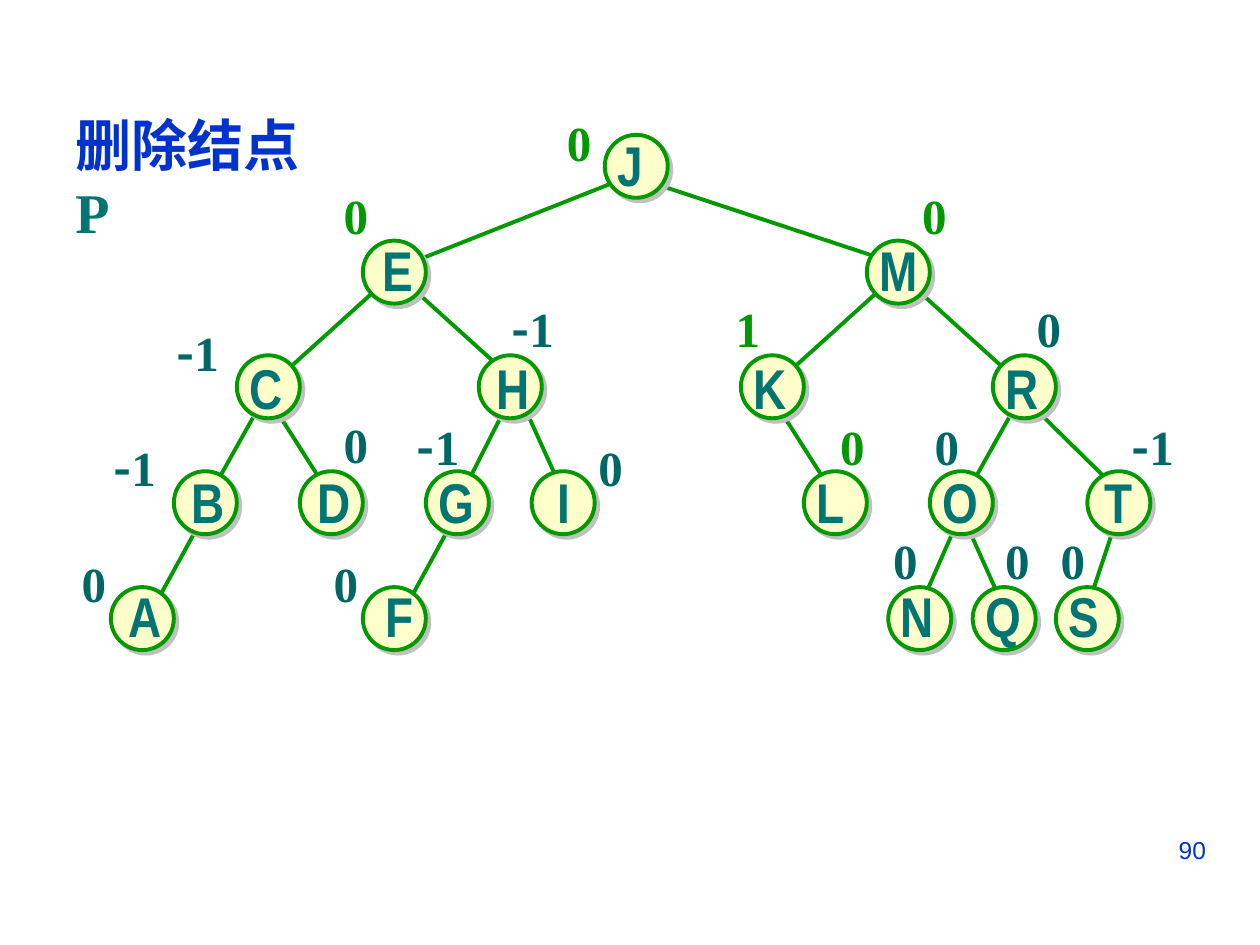
import pptx
import pptx.util
import pptx.dml.color
import pptx.enum.shapes
import pptx.enum.text
import pptx.oxml
import pptx.oxml.ns
from lxml import etree
from pptx.util import Inches

RGBColor = pptx.dml.color.RGBColor
BLUE = RGBColor(0x00, 0x33, 0xCC)
TEAL = RGBColor(0x00, 0x75, 0x72)
DARK_TEAL = RGBColor(0x00, 0x66, 0x66)
GREEN = RGBColor(0x00, 0x99, 0x00)
CREAM = RGBColor(0xFF, 0xFF, 0xCC)

SERIF = "Times New Roman"
NARROW = "Arial Narrow"
CJK = "Noto Sans CJK SC"
DIAMETER = 0.5
LEVEL_TOPS = [1.07, 1.91, 2.82, 3.74, 4.66]
LETTER_TOPS = [0.99, 1.82, 2.76, 3.66, 4.57]

# letter, level, circle left, letter left, letter width
NODES = [
    ("J", 0, 4.8, 4.8, 0.4),
    ("E", 1, 2.88, 2.94, 0.44),
    ("M", 1, 6.88, 6.88, 0.51),
    ("C", 2, 1.88, 1.88, 0.47),
    ("H", 2, 3.8, 3.84, 0.47),
    ("K", 2, 5.88, 5.88, 0.47),
    ("R", 2, 7.88, 7.88, 0.47),
    ("B", 3, 1.38, 1.42, 0.47),
    ("D", 3, 2.38, 2.42, 0.47),
    ("G", 3, 3.38, 3.38, 0.48),
    ("I", 3, 4.22, 4.33, 0.3),
    ("L", 3, 6.38, 6.38, 0.42),
    ("O", 3, 7.38, 7.38, 0.48),
    ("T", 3, 8.63, 8.67, 0.42),
    ("A", 4, 0.88, 0.92, 0.47),
    ("F", 4, 2.88, 2.96, 0.42),
    ("N", 4, 7.05, 7.05, 0.47),
    ("Q", 4, 7.72, 7.72, 0.48),
    ("S", 4, 8.38, 8.38, 0.44),
]

EDGES = [
    (4.97, 1.41, 3.3, 2.07), (5.05, 1.41, 7.05, 2.07),
    (3.05, 2.24, 2.22, 2.99), (3.22, 2.24, 4.05, 2.99),
    (7.05, 2.24, 6.22, 2.99), (7.3, 2.32, 8.13, 3.07),
    (2.05, 3.24, 1.63, 3.99), (2.13, 3.16, 2.55, 3.82),
    (4.05, 3.16, 3.63, 3.99), (4.13, 3.16, 4.47, 3.91),
    (6.13, 3.16, 6.55, 3.82), (8.05, 3.24, 7.63, 3.99),
    (8.13, 3.16, 8.8, 3.82), (1.63, 4.07, 1.22, 4.82),
    (3.63, 4.07, 3.22, 4.82), (7.63, 4.07, 7.3, 4.82),
    (7.63, 4.07, 7.93, 4.74), (8.88, 4.07, 8.63, 4.82),
]

BALANCES = [
    ("0", 4.4, 0.84, GREEN), ("0", 2.63, 1.42, GREEN),
    ("0", 7.22, 1.42, GREEN), ("1", 5.74, 2.32, GREEN),
    ("0", 6.57, 3.26, GREEN), ("-1", 1.3, 2.51, DARK_TEAL),
    ("-1", 3.96, 2.32, DARK_TEAL), ("0", 8.13, 2.32, DARK_TEAL),
    ("-1", 0.8, 3.42, DARK_TEAL), ("0", 2.63, 3.24, DARK_TEAL),
    ("-1", 3.21, 3.26, DARK_TEAL), ("0", 4.65, 3.42, DARK_TEAL),
    ("0", 7.32, 3.26, DARK_TEAL), ("-1", 8.88, 3.26, DARK_TEAL),
    ("0", 0.55, 4.34, DARK_TEAL), ("0", 2.55, 4.34, DARK_TEAL),
    ("0", 6.99, 4.16, DARK_TEAL), ("0", 7.88, 4.16, DARK_TEAL),
    ("0", 8.32, 4.16, DARK_TEAL),
]


def add_text(s, left, top, width, height, runs, size, bold=True, wrap=False):
    sp = s.shapes.add_textbox(Inches(left), Inches(top), Inches(width), Inches(height))
    tf = sp.text_frame
    tf.word_wrap = wrap
    p = tf.paragraphs[0]
    for text, font, color in runs:
        r = p.add_run()
        r.text = text
        r.font.size = pptx.util.Pt(size)
        r.font.bold = bold
        r.font.color.rgb = color
        r.font.name = font
        ea = etree.SubElement(r.font._element, pptx.oxml.ns.qn("a:ea"))
        ea.set("typeface", CJK)
    return p


def add_edge(s, x1, y1, x2, y2):
    line = s.shapes.add_connector(
        pptx.enum.shapes.MSO_CONNECTOR.STRAIGHT,
        Inches(x1), Inches(y1), Inches(x2), Inches(y2))
    line.line.color.rgb = GREEN
    line.line.width = pptx.util.Pt(2.25)
    etree.SubElement(line._element.spPr, pptx.oxml.ns.qn("a:effectLst"))


def add_circle(s, left, top):
    sp = s.shapes.add_shape(
        pptx.enum.shapes.MSO_SHAPE.OVAL,
        Inches(left), Inches(top), Inches(DIAMETER), Inches(DIAMETER))
    sp.fill.solid()
    sp.fill.fore_color.rgb = CREAM
    sp.line.color.rgb = GREEN
    sp.line.width = pptx.util.Pt(2.25)
    sp.shadow.inherit = False
    effects = sp._element.spPr.find(pptx.oxml.ns.qn("a:effectLst"))
    shadow = etree.SubElement(effects, pptx.oxml.ns.qn("a:outerShdw"))
    shadow.set("dist", str(pptx.util.Pt(2.8)))
    shadow.set("dir", "2700000")
    shadow.set("algn", "ctr")
    shadow.set("rotWithShape", "0")
    color = etree.SubElement(shadow, pptx.oxml.ns.qn("a:srgbClr"))
    color.set("val", "C0C0C0")


def add_node(s, letter, level, left, letter_left, letter_width):
    add_circle(s, left, LEVEL_TOPS[level])
    add_text(s, letter_left, LETTER_TOPS[level], letter_width, 0.63,
             [(letter, NARROW, TEAL)], 32)


def add_balance(s, value, left, top, color):
    runs = [(char, CJK if char == "-" else SERIF, color) for char in value]
    width = 0.59 if len(value) == 2 else 0.4
    add_text(s, left, top, width, 0.57, runs, 28)


def main():
    prs = pptx.Presentation()
    prs.slide_width = Inches(10)
    prs.slide_height = Inches(7.5)
    s = prs.slides.add_slide(prs.slide_layouts[6])
    p = add_text(s, 7.17, 6.58, 2.5, 0.52, [("90", "Arial", BLUE)], 14,
                 bold=False, wrap=True)
    p.alignment = pptx.enum.text.PP_ALIGN.RIGHT
    add_text(s, 0.5, 0.83, 2.05, 0.63,
             [("删除结点", SERIF, BLUE), ("P", SERIF, TEAL)], 32, wrap=True)
    for edge in EDGES:
        add_edge(s, *edge)
    for node in NODES:
        add_node(s, *node)
    for balance in BALANCES:
        add_balance(s, *balance)
    prs.save("out.pptx")


if __name__ == "__main__":
    main()
